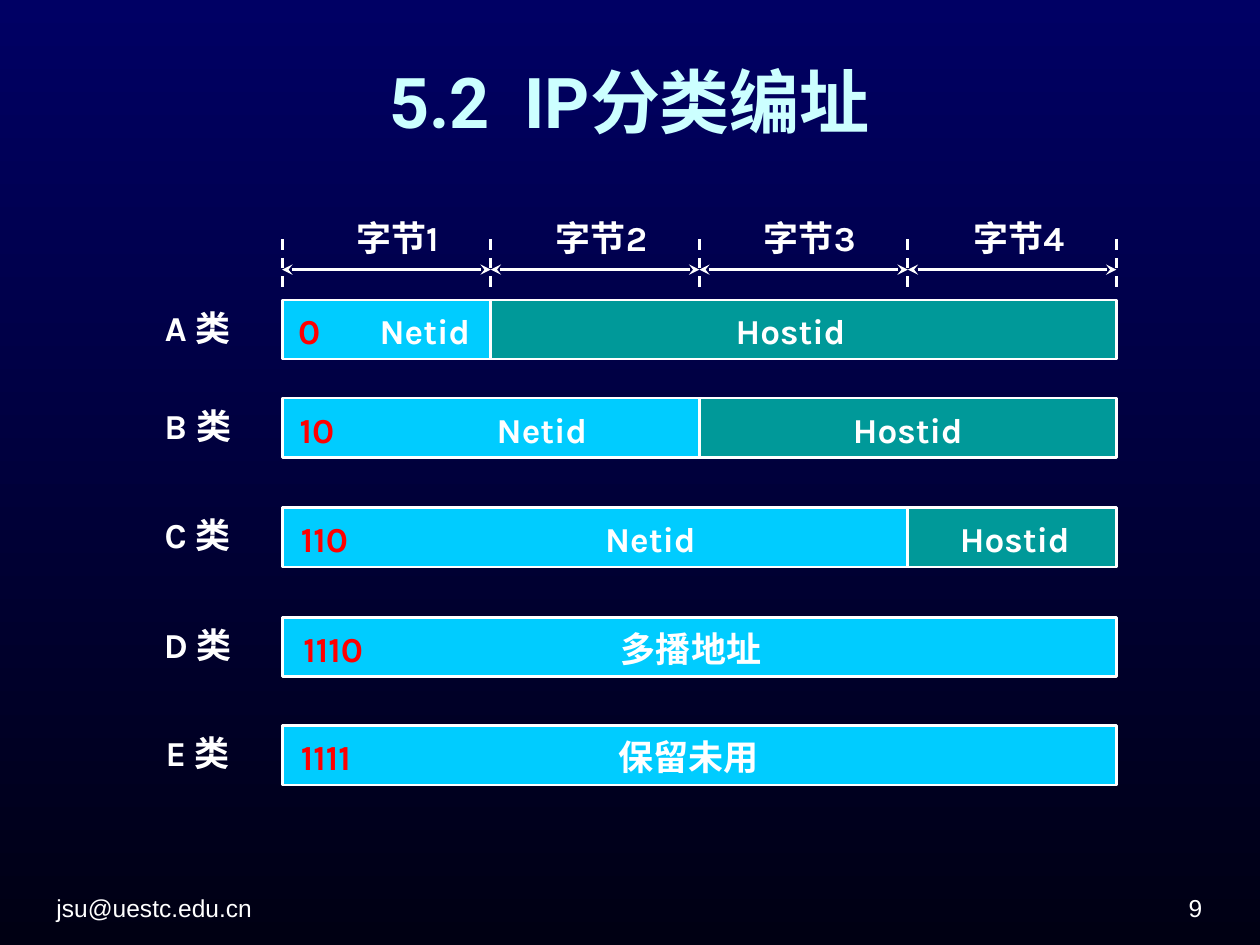
from dataclasses import dataclass

from lxml.etree import SubElement
from pptx import Presentation
from pptx.dml.color import RGBColor as RGB
from pptx.enum.dml import MSO_LINE_DASH_STYLE as DASH
from pptx.enum.shapes import MSO_CONNECTOR as CONNECTOR, MSO_SHAPE as SHAPE
from pptx.enum.text import MSO_ANCHOR as ANCHOR, MSO_AUTO_SIZE as AUTO_SIZE, PP_ALIGN as ALIGN
from pptx.oxml.ns import qn
from pptx.util import Inches, Pt


@dataclass(frozen=True)
class Theme:
    top: RGB = RGB(0x00, 0x00, 0x64)
    bottom: RGB = RGB(0x00, 0x00, 0x13)
    title: RGB = RGB(0xCC, 0xFF, 0xFF)
    white: RGB = RGB(0xFF, 0xFF, 0xFF)
    prefix: RGB = RGB(0xFF, 0x00, 0x00)
    net: RGB = RGB(0x00, 0xCC, 0xFF)
    host: RGB = RGB(0x00, 0x99, 0x99)
    title_size: int = 40
    body_size: int = 20
    footer_size: int = 14
    line_width: float = 1.5
    title_font: str = "Roboto"
    body_font: str = "Karla"
    cjk_font: str = "Noto Sans CJK SC"
    footer_font: str = "Arial"


T = Theme()
BAR_LEFT, BAR_RIGHT, BAR_HEIGHT = 2.24, 8.86, 0.47
BYTE = (BAR_RIGHT - BAR_LEFT) / 4
LABEL_HEIGHT = 0.44

# name, top, (prefix, left, width), fields as (bytes, colour, text, left, width)
CLASSES = [
    ("A 类", 2.38, ("0", 2.25, 0.39),
     [(1, T.net, "Netid", 2.75, 1.08), (3, T.host, "Hostid", 5.71, 1.1)]),
    ("B 类", 3.16, ("10", 2.28, 0.63),
     [(2, T.net, "Netid", 3.5, 1.26), (2, T.host, "Hostid", 6.64, 1.1)]),
    ("C 类", 4.03, ("110", 2.29, 0.74),
     [(3, T.net, "Netid", 4.42, 1.2), (1, T.host, "Hostid", 7.49, 1.1)]),
    ("D 类", 4.9, ("1110", 2.31, 0.88), [(4, T.net, "多播地址", 4.08, 2.81)]),
    ("E 类", 5.76, ("1111", 2.29, 0.88), [(4, T.net, "保留未用", 3.67, 3.59)]),
]


def byte_x(n):
    """Horizontal place of the boundary after n bytes."""
    return BAR_LEFT + n * BYTE


def add_text(slide, text, left, top, width, height, align=ALIGN.LEFT, color=T.white,
             size=T.body_size, font=T.body_font, bold=True, anchor=ANCHOR.TOP):
    box = slide.shapes.add_textbox(Inches(left), Inches(top), Inches(width), Inches(height))
    tf = box.text_frame
    tf.word_wrap = True
    tf.auto_size = AUTO_SIZE.NONE
    tf.vertical_anchor = anchor
    p = tf.paragraphs[0]
    p.text = text
    p.alignment = align
    p.font.size, p.font.bold, p.font.name = Pt(size), bold, font
    p.font.color.rgb = color
    props = p._p.pPr.find(qn("a:defRPr"))
    SubElement(props, qn("a:ea")).set("typeface", T.cjk_font)


def add_label(slide, text, left, top, width, align, color=T.white, font=T.body_font):
    add_text(slide, text, left, top, width, LABEL_HEIGHT, align, color, font=font)


def add_bar(slide, left, top, width, color):
    sp = slide.shapes.add_shape(SHAPE.RECTANGLE, Inches(left), Inches(top),
                                Inches(width), Inches(BAR_HEIGHT))
    sp.shadow.inherit = False
    sp.fill.solid()
    sp.fill.fore_color.rgb = color
    sp.line.color.rgb = T.white
    sp.line.width = Pt(T.line_width)


def add_line(slide, x1, y1, x2, y2, dashed=False, arrows=False):
    line = slide.shapes.add_connector(CONNECTOR.STRAIGHT, Inches(x1), Inches(y1),
                                      Inches(x2), Inches(y2))
    line.line.color.rgb = T.white
    line.line.width = Pt(T.line_width)
    if dashed:
        line.line.dash_style = DASH.DASH
    if arrows:
        for end in ("a:headEnd", "a:tailEnd"):
            SubElement(line.line._get_or_add_ln(), qn(end)).set("type", "stealth")
    SubElement(line._element.spPr, qn("a:effectLst"))


def add_background(slide):
    fill = slide.background.fill
    fill.gradient()
    fill.gradient_angle = 270
    for stop, color in zip(fill.gradient_stops, (T.top, T.bottom)):
        stop.color.rgb = color


def add_byte_scale(slide):
    for n in range(5):
        add_line(slide, byte_x(n), 1.9, byte_x(n), 2.3, dashed=True)
    for n in range(4):
        add_line(slide, byte_x(n), 2.14, byte_x(n + 1), 2.14, arrows=True)
        add_label(slide, f"字节{n + 1}", byte_x(n) + 0.32, 1.67, 1.02, ALIGN.RIGHT)


def add_address_class(slide, name, top, prefix, fields):
    add_label(slide, name, 0.9, top, 1.34, ALIGN.CENTER)
    start = 0
    for size, color, text, left, width in fields:
        add_bar(slide, byte_x(start), top, size * BYTE, color)
        whole = size == 4
        add_label(slide, text, left, top + 0.03, width,
                  ALIGN.CENTER if whole else ALIGN.RIGHT,
                  font=T.cjk_font if whole else T.body_font)
        start += size
    bits, left, width = prefix
    add_label(slide, bits, left, top + 0.03, width,
              ALIGN.RIGHT if len(bits) == 1 else ALIGN.LEFT, T.prefix)


def add_footer(slide, text, left, align):
    add_text(slide, text, left, 6.9, 2.33, 0.47, align, size=T.footer_size,
             font=T.footer_font, bold=False, anchor=ANCHOR.BOTTOM)


def main():
    prs = Presentation()
    prs.slide_width, prs.slide_height = Inches(10), Inches(7.5)
    slide = prs.slides.add_slide(prs.slide_layouts[6])
    add_background(slide)
    add_footer(slide, "jsu@uestc.edu.cn", 0.35, ALIGN.LEFT)
    add_footer(slide, "9", 7.31, ALIGN.RIGHT)
    add_text(slide, "5.2  IP分类编址", 0.35, 0.13, 9.29, 1.34, ALIGN.CENTER, T.title,
             T.title_size, T.title_font, anchor=ANCHOR.MIDDLE)
    add_byte_scale(slide)
    for address_class in CLASSES:
        add_address_class(slide, *address_class)
    prs.save("out.pptx")


if __name__ == "__main__":
    main()
